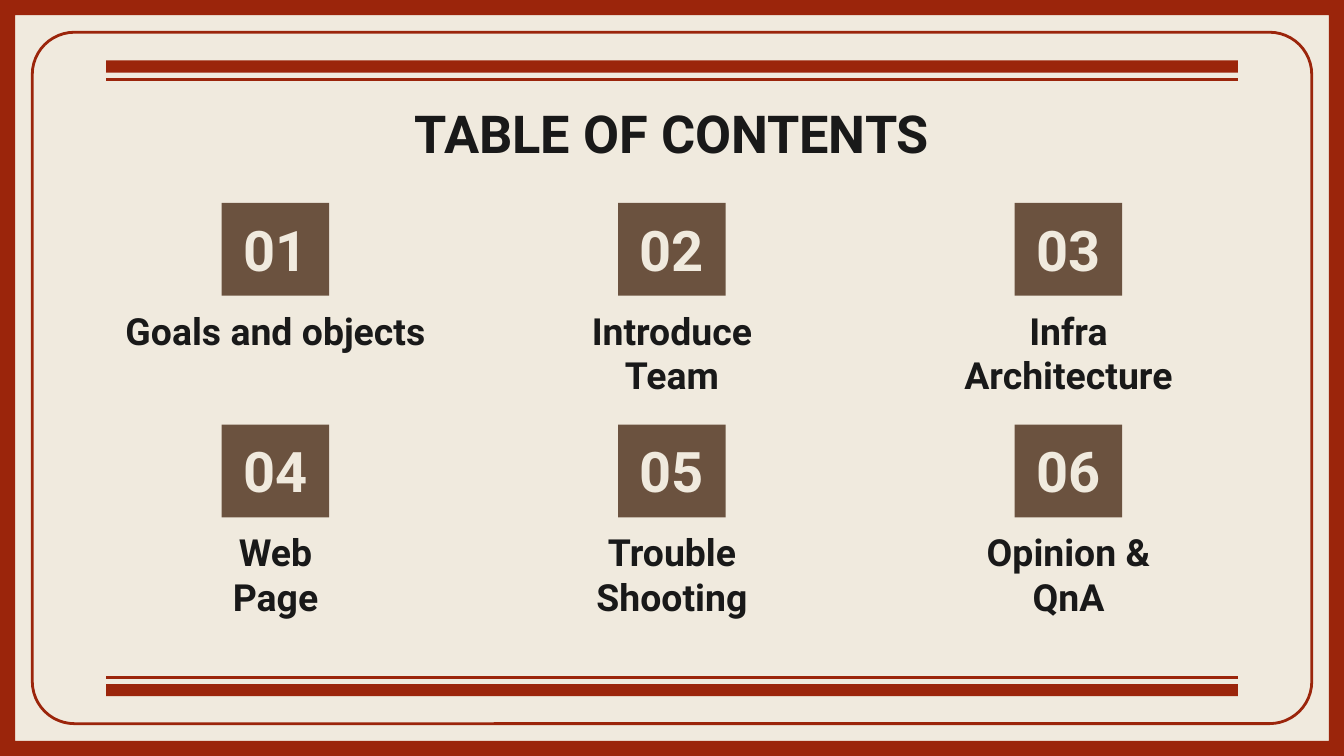
from dataclasses import dataclass

import pptx
import pptx.dml.color
import pptx.enum.shapes
import pptx.enum.text
import pptx.oxml
import pptx.oxml.ns
import pptx.util

Inches = pptx.util.Inches
Shapes = pptx.enum.shapes.MSO_SHAPE
Anchor = pptx.enum.text.MSO_ANCHOR
Color = pptx.dml.color.RGBColor


@dataclass(frozen=True)
class Theme:
    paper: Color = Color.from_string("F0EADE")
    red: Color = Color.from_string("9B250B")
    brown: Color = Color.from_string("6B523F")
    ink: Color = Color.from_string("191919")
    font: str = "Roboto"
    title_size: float = 28
    number_size: float = 30
    label_size: float = 20
    line_width: float = 1.5


@dataclass(frozen=True)
class Area:
    left: float
    top: float
    width: float
    height: float

    def emu(self) -> list:
        return [Inches(v) for v in (self.left, self.top, self.width, self.height)]


@dataclass(frozen=True)
class Topic:
    lines: tuple[str, ...]


THEME = Theme()
WIDTH = 10
HEIGHT = WIDTH * 9 / 16

# Content grid: three equal columns between the margins, two rows
MARGIN = 0.79
CONTENT_WIDTH = WIDTH - 2 * MARGIN
COLUMNS = 3
LABEL_WIDTH, LABEL_HEIGHT = 2.52, 0.73
COLUMN_STEP = (CONTENT_WIDTH - LABEL_WIDTH) / (COLUMNS - 1)
FIRST_ROW, ROW_STEP = 1.51, 1.65
BADGE_WIDTH, BADGE_HEIGHT = 0.8, 0.69
LABEL_DROP = 0.68

TOPICS = [
    Topic(("Goals and objects",)),
    Topic(("Introduce", "Team")),
    Topic(("Infra", "Architecture")),
    Topic(("Web", "Page")),
    Topic(("Trouble", "Shooting")),
    Topic(("Opinion &", "QnA")),
]


def add_shape(page, kind, area: Area, fill: Color | None = None,
              line: Color | None = None, adjust: float | None = None):
    shape = page.shapes.add_shape(kind, *area.emu())
    shape.shadow.inherit = False
    if adjust is not None:
        shape.adjustments[0] = adjust
    if fill is None:
        shape.fill.background()
    else:
        shape.fill.solid()
        shape.fill.fore_color.rgb = fill
    if line is None:
        shape.line.fill.background()
    else:
        shape.line.color.rgb = line
        shape.line.width = pptx.util.Pt(THEME.line_width)
    return shape


def add_rule(page, y: float) -> None:
    rule = page.shapes.add_connector(
        pptx.enum.shapes.MSO_CONNECTOR.STRAIGHT,
        Inches(MARGIN), Inches(y), Inches(WIDTH - MARGIN), Inches(y))
    rule.line.color.rgb = THEME.red
    rule.line.width = pptx.util.Pt(THEME.line_width)
    rule._element.spPr.append(pptx.oxml.parse_xml(
        f"<a:effectLst {pptx.oxml.ns.nsdecls('a')}/>"))


def write(box, lines: tuple[str, ...], size: float, color: Color,
          anchor=Anchor.TOP) -> None:
    frame = box.text_frame
    frame.word_wrap = True
    frame.vertical_anchor = anchor
    frame.margin_left = frame.margin_right = Inches(0.1)
    frame.margin_top = frame.margin_bottom = Inches(0.1)
    frame.text = "\n".join(lines)
    for para in frame.paragraphs:
        para.alignment = pptx.enum.text.PP_ALIGN.CENTER
        para.font.name = THEME.font
        para.font.size = pptx.util.Pt(size)
        para.font.bold = True
        para.font.color.rgb = color


def add_text(page, area: Area, lines: tuple[str, ...], size: float) -> None:
    write(page.shapes.add_textbox(*area.emu()), lines, size, THEME.ink)


def add_topic(page, index: int, topic: Topic) -> None:
    row, column = divmod(index, COLUMNS)
    left = MARGIN + column * COLUMN_STEP
    top = FIRST_ROW + row * ROW_STEP
    badge_left = left + (LABEL_WIDTH - BADGE_WIDTH) / 2
    badge = add_shape(page, Shapes.RECTANGLE,
                      Area(badge_left, top, BADGE_WIDTH, BADGE_HEIGHT), THEME.brown)
    write(badge, (f"{index + 1:02}",), THEME.number_size, THEME.paper, Anchor.BOTTOM)
    add_text(page, Area(left, top + LABEL_DROP, LABEL_WIDTH, LABEL_HEIGHT),
             topic.lines, THEME.label_size)


def main() -> None:
    deck = pptx.Presentation()
    deck.slide_width, deck.slide_height = Inches(WIDTH), Inches(HEIGHT)
    page = deck.slides.add_slide(deck.slide_layouts[6])
    page.background.fill.solid()
    page.background.fill.fore_color.rgb = THEME.paper

    # Border: rounded outline inside a solid frame
    inset = 0.24
    add_shape(page, Shapes.ROUNDED_RECTANGLE,
              Area(inset, inset, WIDTH - 2 * inset, HEIGHT - 2 * inset),
              line=THEME.red, adjust=0.061)
    add_shape(page, Shapes.FRAME, Area(0, 0, WIDTH, HEIGHT), THEME.red, adjust=0.02)

    # Paired bars and rules above and below the content
    for bar_top, rule_y in ((0.45, 0.59), (5.09, 5.04)):
        add_rule(page, rule_y)
        add_shape(page, Shapes.RECTANGLE,
                  Area(MARGIN, bar_top, CONTENT_WIDTH, 0.09), THEME.red)

    # Title and topics
    add_text(page, Area(MARGIN, 0.65, CONTENT_WIDTH, 0.63),
             ("TABLE OF CONTENTS",), THEME.title_size)
    for index, topic in enumerate(TOPICS):
        add_topic(page, index, topic)

    deck.save("out.pptx")


if __name__ == "__main__":
    main()
